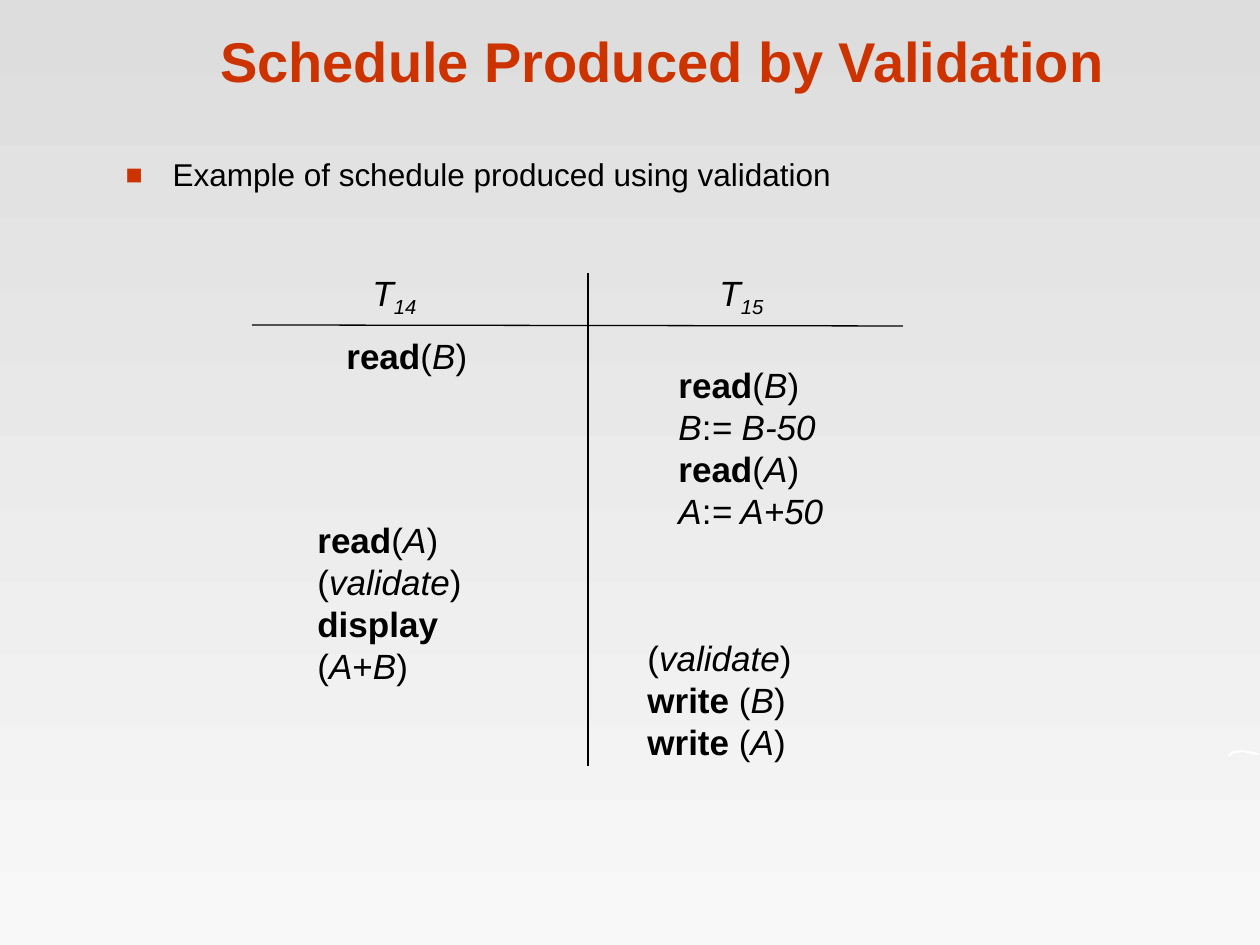
import dataclasses

import lxml.etree
import pptx
import pptx.dml.color
import pptx.enum.shapes
import pptx.enum.text
import pptx.oxml.ns
import pptx.util

PX = 914400 / 126  # EMU per px


def px(*lengths):
    return [pptx.util.Emu(round(length * PX)) for length in lengths]


def rgb(code):
    return pptx.dml.color.RGBColor.from_string(code)


@dataclasses.dataclass(frozen=True)
class Theme:
    font: str = "Arial"
    accent: str = "CC3300"
    ink: str = "000000"
    curl: str = "FFFFFF"
    sky: tuple = ("DDDDDD", "F8F8F8")
    title_size: int = 32
    body_size: int = 18
    step_size: int = 20
    line_width: float = 0.75


def add_run(paragraph, text, *, theme, size, color=None, bold=False, italic=False, baseline=None):
    run = paragraph.add_run()
    run.text = text
    run.font.name = theme.font
    run.font.size = pptx.util.Pt(size)
    run.font.bold = bold
    run.font.italic = italic
    run.font.color.rgb = rgb(color or theme.ink)
    if baseline:
        run.font._element.set("baseline", str(baseline * 1000))


class SlideBuilder:
    def __init__(self, slide, theme):
        self.slide = slide
        self.theme = theme

    def background(self):
        fill = self.slide.background.fill
        fill.gradient()
        fill.gradient_angle = 270
        for stop, color, position in zip(fill.gradient_stops, self.theme.sky, (0, 1)):
            stop.color.rgb = rgb(color)
            stop.position = position

    def place(self, placeholder, box, anchor):
        placeholder.left, placeholder.top, placeholder.width, placeholder.height = px(*box)
        frame = placeholder.text_frame
        frame.auto_size = pptx.enum.text.MSO_AUTO_SIZE.NONE
        frame.vertical_anchor = anchor
        return frame.paragraphs[0]

    def title(self, text, box):
        heading = self.place(self.slide.shapes.title, box, pptx.enum.text.MSO_ANCHOR.BOTTOM)
        heading.alignment = pptx.enum.text.PP_ALIGN.CENTER
        add_run(heading, text, theme=self.theme, size=self.theme.title_size,
                color=self.theme.accent, bold=True)

    def bullet(self, text, box, indent):
        item = self.place(self.slide.placeholders[1], box, pptx.enum.text.MSO_ANCHOR.TOP)
        item.space_before = pptx.util.Pt(7.9)
        properties = item._p.get_or_add_pPr()
        hanging = px(indent)[0]
        properties.set("marL", str(hanging))
        properties.set("indent", str(-hanging))
        qn = pptx.oxml.ns.qn
        bullet_color = lxml.etree.SubElement(properties, qn("a:buClr"))
        lxml.etree.SubElement(bullet_color, qn("a:srgbClr"), val=self.theme.accent)
        lxml.etree.SubElement(properties, qn("a:buSzPct"), val="90000")
        lxml.etree.SubElement(properties, qn("a:buFont"), typeface=self.theme.font)
        lxml.etree.SubElement(properties, qn("a:buChar"), char="■")
        add_run(item, text, theme=self.theme, size=self.theme.body_size)

    def rule(self, start, end):
        line = self.slide.shapes.add_connector(
            pptx.enum.shapes.MSO_CONNECTOR.STRAIGHT, *px(*start, *end))
        line.line.color.rgb = rgb(self.theme.ink)
        line.line.width = pptx.util.Pt(self.theme.line_width)
        lxml.etree.SubElement(line._element.spPr, pptx.oxml.ns.qn("a:effectLst"))

    def steps(self, box, lines):
        frame = self.slide.shapes.add_textbox(*px(*box)).text_frame
        frame.word_wrap = False
        frame.auto_size = pptx.enum.text.MSO_AUTO_SIZE.SHAPE_TO_FIT_TEXT
        for number, runs in enumerate(lines):
            paragraph = frame.add_paragraph() if number else frame.paragraphs[0]
            for text, style in runs:
                add_run(paragraph, text, theme=self.theme, size=self.theme.step_size, **style)

    def outline(self, points, color):
        builder = self.slide.shapes.build_freeform(*points[0], scale=PX)
        builder.add_line_segments(points[1:], close=True)
        shape = builder.convert_to_shape()
        shape.shadow.inherit = False
        shape.fill.solid()
        shape.fill.fore_color.rgb = rgb(color)
        shape.line.fill.background()


# Kinds of wording in a schedule step
PLAIN, BOLD, ITALIC = {}, {"bold": True}, {"italic": True}
SUBSCRIPT = {"italic": True, "baseline": -25}
VALIDATE = [("(", PLAIN), ("validate", ITALIC), (")", PLAIN)]


def transaction(number):
    return [("T", ITALIC), (number, SUBSCRIPT)]


def operation(verb, item, opening="("):
    return [(verb, BOLD), (opening, PLAIN), (item, ITALIC), (")", PLAIN)]


def assignment(item, value):
    return [(item, ITALIC), (":", PLAIN), (f"= {value}", ITALIC)]


def main():
    deck = pptx.Presentation()
    deck.slide_width, deck.slide_height = px(1260, 945)
    theme = Theme()
    page = SlideBuilder(deck.slides.add_slide(deck.slide_layouts[1]), theme)

    # Backdrop with the small curl at the right edge
    page.background()
    page.outline([(1228, 757), (1230, 753), (1234, 751), (1240, 750), (1247, 751),
                  (1254, 752), (1260, 754), (1258, 755), (1251, 754), (1244, 752),
                  (1235, 753), (1230, 756)], theme.curl)

    # Heading and introduction
    page.title("Schedule Produced by Validation", (106, 16, 1113, 84))
    page.bullet("Example of schedule produced using validation", (113, 149, 1081, 672), 47)

    # Rules of the schedule
    page.rule((252, 325), (903, 326))
    page.rule((588, 273), (588, 766))

    # Transaction names
    for left, number in ((360, "14"), (707, "15")):
        page.steps((left, 265, 69, 60), [transaction(number)])

    # Steps in order of time, first transaction left, second right
    page.steps((334, 328, 146, 55), [operation("read", "B")])
    page.steps((666, 357, 171, 181), [
        operation("read", "B"), assignment("B", "B-50"),
        operation("read", "A"), assignment("A", "A+50")])
    page.steps((305, 512, 246, 139), [
        operation("read", "A"), VALIDATE,
        [("display", BOLD), (" (", PLAIN), ("A", ITALIC), ("+", PLAIN),
         ("B", ITALIC), (")", PLAIN)]])
    page.steps((635, 630, 169, 139), [
        VALIDATE, operation("write", "B", " ("), operation("write", "A", " (")])

    deck.save("out.pptx")


if __name__ == "__main__":
    main()
